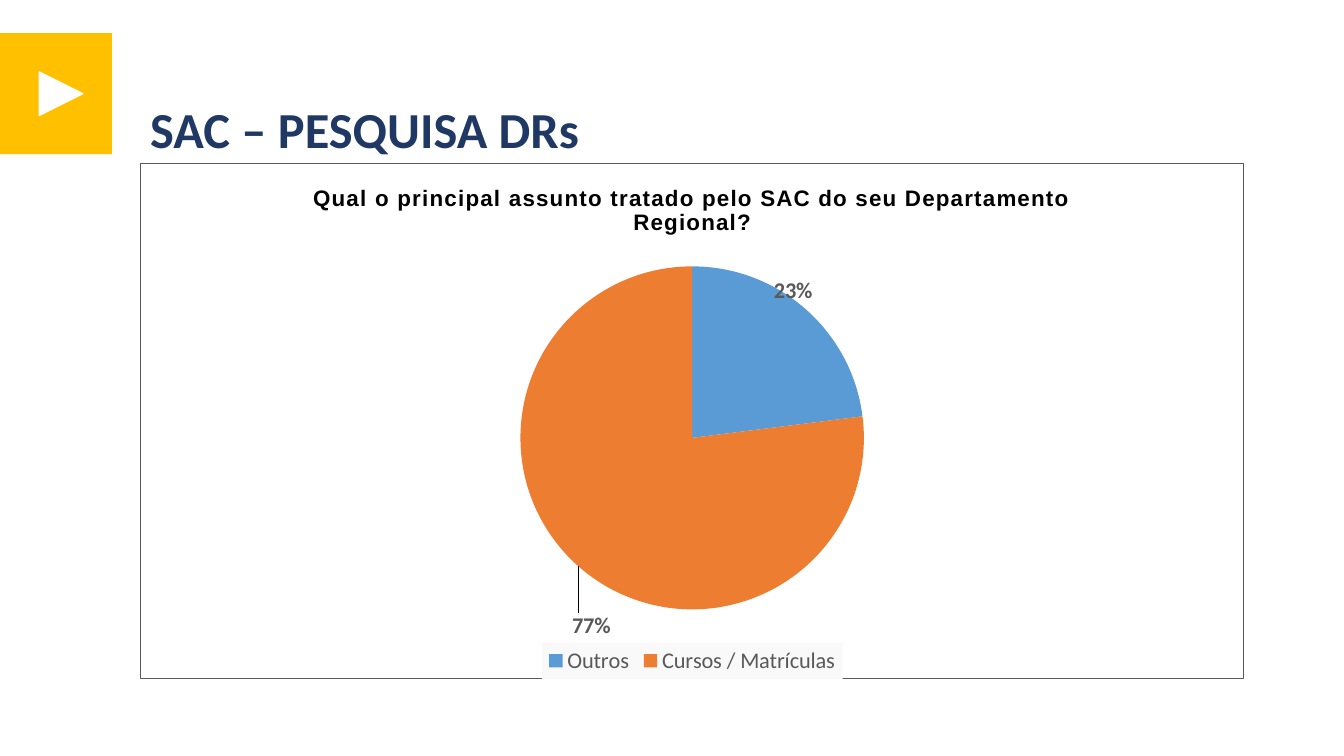
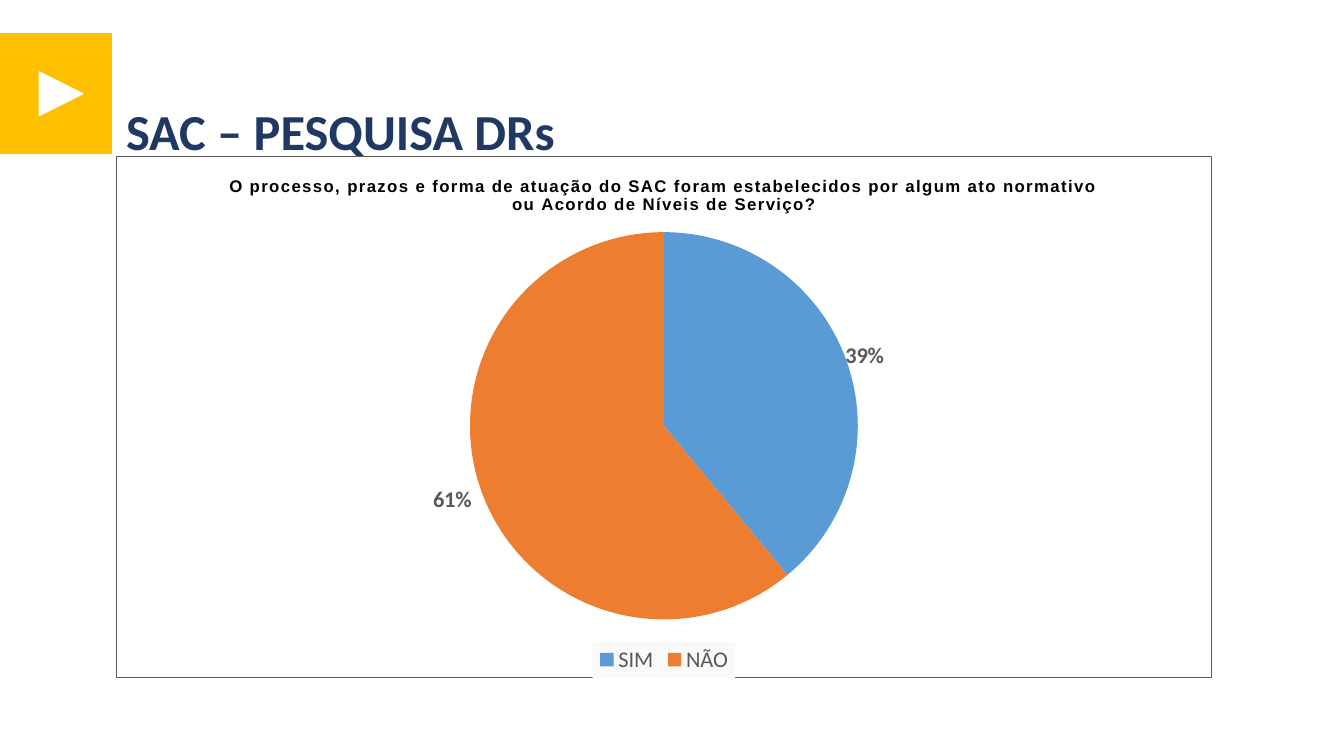
from copy import deepcopy

from pptx import Presentation
from pptx.chart.data import CategoryChartData
from pptx.dml.color import RGBColor
from pptx.enum.chart import XL_CHART_TYPE, XL_LABEL_POSITION, XL_LEGEND_POSITION
from pptx.enum.shapes import MSO_SHAPE
from pptx.enum.text import MSO_ANCHOR, MSO_AUTO_SIZE, PP_ALIGN
from pptx.oxml import parse_xml
from pptx.oxml.ns import nsdecls
from pptx.util import Inches, Pt

PIE = XL_CHART_TYPE.PIE
CENTER = XL_LABEL_POSITION.CENTER
BOTTOM = XL_LEGEND_POSITION.BOTTOM
RECT, TRIANGLE = MSO_SHAPE.RECTANGLE, MSO_SHAPE.ISOSCELES_TRIANGLE

NAVY, AMBER, WHITE, BLACK = "203864", "FFC000", "FFFFFF", "000000"
GRAY, PALE = "595959", "F9F9F9"
SLICES = ["5B9BD5", "ED7D31"]
TITLE_ONLY = 5
TITLE = "SAC – PESQUISA DRs"

# box: chart left, top, width, height; pie: top within the chart and diameter;
# offsets: label shifts from the slice centres, as fractions of the chart
SURVEYS = [
    dict(question="Qual o principal assunto tratado pelo SAC do seu "
                  "Departamento Regional?",
         size=16, answers={"Outros": 23, "Cursos / Matrículas": 77},
         title_top=0.99, box=(1.39, 1.62, 10.95, 5.12), pie=(1.02, 3.41),
         offsets=[(0.04, -0.16), (-0.04, 0.24)]),
    dict(question="O processo, prazos e forma de atuação do SAC foram "
                  "estabelecidos por algum ato normativo ou Acordo de "
                  "Níveis de Serviço?",
         size=12, answers={"SIM": 39, "NÃO": 61},
         title_top=1.01, box=(1.15, 1.55, 10.87, 5.18), pie=(0.75, 3.85),
         offsets=[(0.1, -0.07), (-0.11, 0.08)]),
]


def rgb(color):
    return RGBColor.from_string(color)


def style_font(font, size, color, name="Calibri", bold=False):
    font.size, font.name, font.bold = Pt(size), name, bold
    font.color.rgb = rgb(color)


def set_text(tf, text, align=None, spacing=None, **font):
    p = tf.paragraphs[0]
    p.alignment, p.line_spacing = align, spacing
    r = p.add_run()
    r.text = text
    style_font(r.font, **font)


def add_mark(s, kind, box, color, rotation=0):
    sp = s.shapes.add_shape(kind, *map(Inches, box))
    sp.shadow.inherit = False
    sp.fill.solid()
    sp.fill.fore_color.rgb = rgb(color)
    sp.line.color.rgb = rgb(color)
    sp.line.width = Pt(1)
    sp.rotation = rotation
    return sp


def add_play_badge(s, x, y, w, h):
    """Amber band with a play arrow, moved to the layout so all slides share it."""
    side = 0.43
    band = add_mark(s, RECT, (x, y, w, h), AMBER)
    band.line.fill.background()
    arrow = add_mark(s, TRIANGLE, (x + 0.39, y + (h - side) / 2, side, side),
                     WHITE, rotation=90)
    for sp in (band, arrow):
        s.slide_layout.shapes.element.append(sp.element)


def add_title(s, x, y, w, h):
    title = s.shapes.title
    title.left, title.top, title.width, title.height = map(Inches, (x, y, w, h))
    tf = title.text_frame
    tf.word_wrap, tf.auto_size = True, MSO_AUTO_SIZE.NONE
    tf.vertical_anchor = MSO_ANCHOR.TOP
    set_text(tf, TITLE, align=PP_ALIGN.LEFT, spacing=0.9,
             size=36, color=NAVY, bold=True)


def chart_layout(x, y, w=None, h=None):
    """Manual layout: a placed inner plot area, or a label shift without w, h."""
    parts = [("x", x), ("y", y)]
    head = ""
    if w is not None:
        head = ('<c:layoutTarget val="inner"/><c:xMode val="edge"/>'
                '<c:yMode val="edge"/>')
        parts += [("w", w), ("h", h)]
    body = "".join(f'<c:{tag} val="{val:.4f}"/>' for tag, val in parts)
    return parse_xml(f'<c:layout {nsdecls("c")}><c:manualLayout>{head}{body}'
                     '</c:manualLayout></c:layout>')


def chart_fill(fill, line=None):
    def paint(color):
        if color is None:
            return "<a:noFill/>"
        return f'<a:solidFill><a:srgbClr val="{color}"/></a:solidFill>'
    return parse_xml(f'<c:spPr {nsdecls("c", "a")}>{paint(fill)}'
                     f'<a:ln w="{Pt(0.75)}">{paint(line)}</a:ln></c:spPr>')


def shift_labels(dlbls, offsets):
    """Give each slice its own label, formatted like the series labels."""
    shared = [el for el in dlbls if not el.tag.endswith("showLeaderLines")]
    for i, offset in enumerate(offsets):
        dlbl = parse_xml(f'<c:dLbl {nsdecls("c")}><c:idx val="{i}"/></c:dLbl>')
        dlbl.append(chart_layout(*offset))
        dlbl.extend(deepcopy(shared))
        dlbls.insert(i, dlbl)


def add_pie(s, box, question, size, answers, pie, offsets):
    data = CategoryChartData()
    data.categories = list(answers)
    data.add_series("Series 1", list(answers.values()))
    chart = s.shapes.add_chart(PIE, *map(Inches, box), data).chart
    root = chart.element
    style_font(chart.font, 10, BLACK)

    chart.has_title = True
    set_text(chart.chart_title.text_frame, question, size=size, color=BLACK,
             name="Arial", bold=True)
    root.xpath(".//c:title//a:r/a:rPr")[0].set("spc", "100")

    chart.has_legend = True
    chart.legend.position = BOTTOM
    chart.legend.include_in_layout = False
    style_font(chart.legend.font, 16, GRAY)
    root.xpath(".//c:legend/c:overlay")[0].addnext(chart_fill(PALE))

    plot = chart.plots[0]
    plot.vary_by_categories = True
    series = plot.series[0]
    for i, color in enumerate(SLICES):
        fill = series.points[i].format.fill
        fill.solid()
        fill.fore_color.rgb = rgb(color)

    labels = series.data_labels
    labels.show_percentage, labels.show_value = True, False
    labels.number_format, labels.number_format_is_linked = "0%", False
    labels.position = CENTER
    style_font(labels.font, 16, GRAY, bold=True)
    shift_labels(root.xpath(".//c:ser/c:dLbls")[0], offsets)

    _, _, w, h = box
    top, diameter = pie
    area = root.xpath(".//c:plotArea")[0]
    for old in area.xpath("c:layout"):
        area.remove(old)
    area.insert(0, chart_layout((w - diameter) / 2 / w, top / h,
                                diameter / w, diameter / h))
    root.xpath("c:chart")[0].addnext(chart_fill(None, GRAY))


def add_survey_slide(prs, title_top, box, **survey):
    s = prs.slides.add_slide(prs.slide_layouts[TITLE_ONLY])
    add_title(s, box[0], title_top, 9.4, 0.54)
    add_pie(s, box, **survey)
    return s


def main():
    prs = Presentation()
    prs.slide_width, prs.slide_height = Inches(13.33), Inches(7.5)
    slides = [add_survey_slide(prs, **survey) for survey in SURVEYS]
    add_play_badge(slides[0], 0, 0.33, 1.11, 1.2)
    prs.save("out.pptx")


if __name__ == "__main__":
    main()
